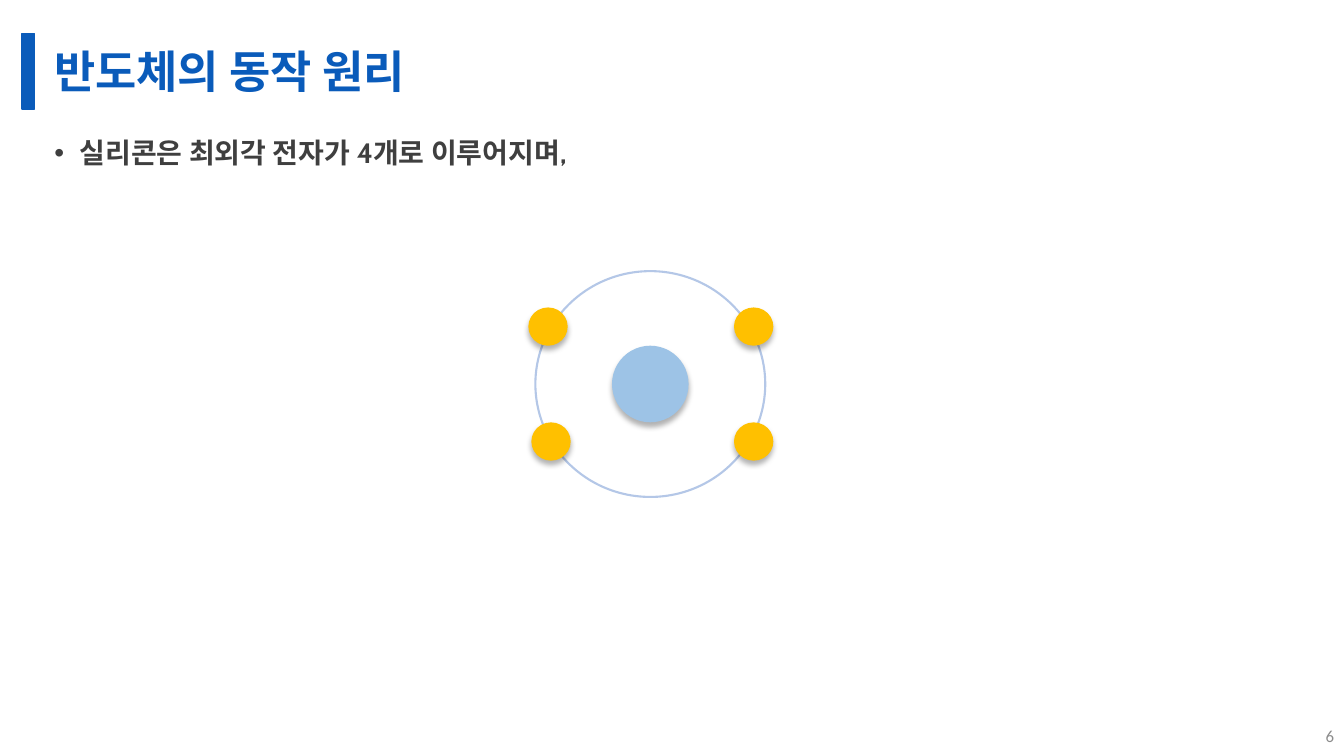
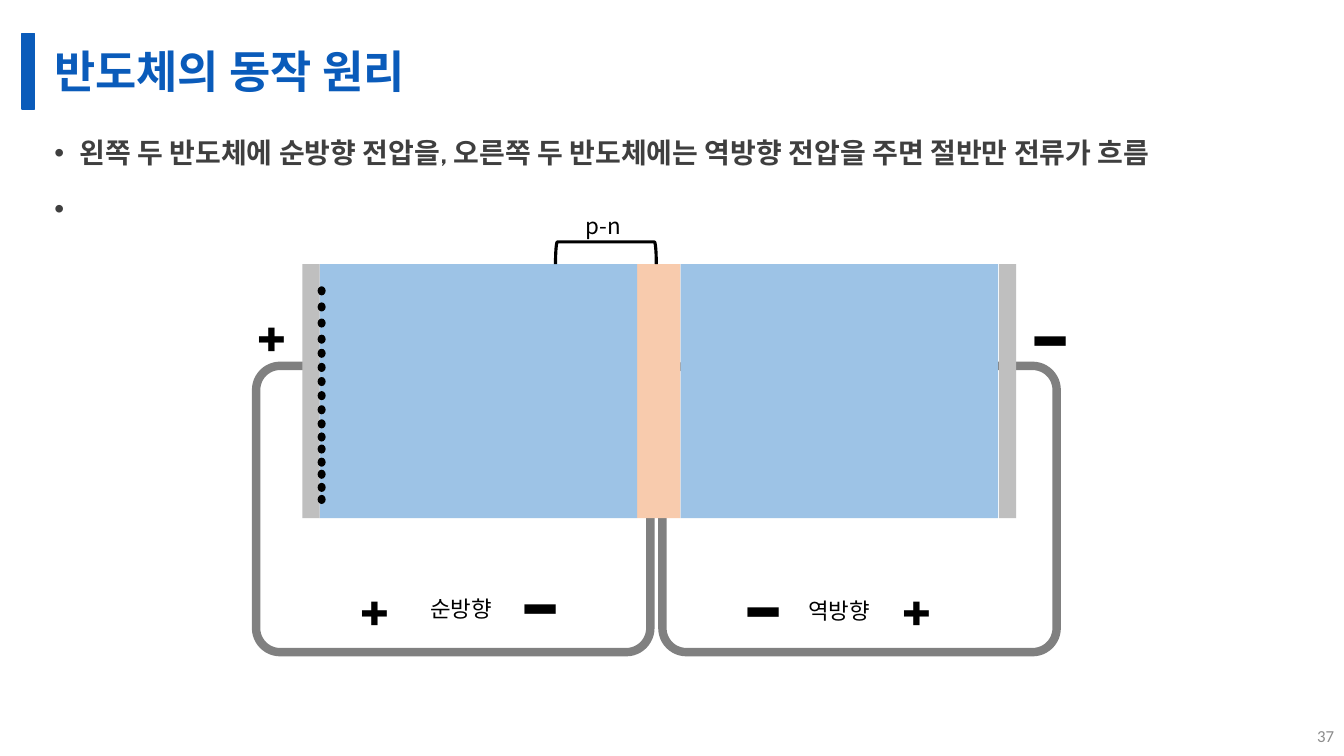
import dataclasses

import lxml.etree
import pptx
import pptx.dml.color
import pptx.enum.shapes
import pptx.enum.text
import pptx.oxml.ns
import pptx.util

Inches = pptx.util.Inches
Pt = pptx.util.Pt
SHAPE = pptx.enum.shapes.MSO_SHAPE
ALIGN = pptx.enum.text.PP_ALIGN
ANCHOR = pptx.enum.text.MSO_ANCHOR
qn = pptx.oxml.ns.qn


@dataclasses.dataclass(frozen=True)
class Theme:
    # Colours
    accent: str = "0A5BBA"
    body: str = "3F3F3F"
    muted: str = "8C8C8C"
    ink: str = "000000"
    silicon: str = "9DC3E6"
    orbit: str = "B4C7E7"
    electron: str = "FFC000"
    depletion: str = "F8CBAD"
    electrode: str = "BFBFBF"
    wire: str = "808080"
    # Fonts
    title_font: str = "Roboto"
    body_font: str = "Cabin"
    number_font: str = "Calibri"
    korean_font: str = "Noto Sans CJK KR"
    # Type sizes
    title_size: int = 32
    body_size: int = 20
    label_size: int = 16
    number_size: int = 12
    plus_size: int = 48
    minus_size: int = 72


@dataclasses.dataclass(frozen=True)
class Box:
    left: float
    top: float
    width: float
    height: float

    def inner(self, dx, dy, width, height):
        return Box(self.left + dx, self.top + dy, width, height)

    def lengths(self):
        return [Inches(round(v, 2)) for v in dataclasses.astuple(self)]


THEME = Theme()
TITLE = "반도체의 동작 원리"
BAR = Box(0.22, 0.33, 0.12, 0.75)
TITLE_BOX = Box(0.44, 0.33, 12.45, 0.75)
BODY_BOX = Box(0.44, 1.25, 12.45, 5.92)
NUMBER_BOX = Box(12.89, 7.1, 0.44, 0.4)


def rgb(value):
    return pptx.dml.color.RGBColor.from_string(value)


def add_bullet(paragraph):
    props = paragraph._p.get_or_add_pPr()
    props.set("marL", str(Inches(0.25)))
    props.set("indent", str(Inches(-0.25)))
    font = lxml.etree.SubElement(props, qn("a:buFont"))
    font.set("typeface", "Arial")
    lxml.etree.SubElement(props, qn("a:buChar")).set("char", "•")


def add_text(slide, box, *lines, size, font, color, bold=False, align=ALIGN.LEFT,
             anchor=ANCHOR.TOP, insets=(0.1, 0.05, 0.1, 0.05), wrap=True,
             spacing=None, before=None, after=None, bullet=False):
    frame = slide.shapes.add_textbox(*box.lengths()).text_frame
    frame.word_wrap = wrap
    frame.auto_size = (pptx.enum.text.MSO_AUTO_SIZE.NONE if wrap
                       else pptx.enum.text.MSO_AUTO_SIZE.SHAPE_TO_FIT_TEXT)
    frame.vertical_anchor = anchor
    (frame.margin_left, frame.margin_top,
     frame.margin_right, frame.margin_bottom) = map(Inches, insets)
    for index, line in enumerate(lines):
        paragraph = frame.add_paragraph() if index else frame.paragraphs[0]
        paragraph.alignment = align
        paragraph.line_spacing = spacing
        paragraph.space_before = before
        paragraph.space_after = after
        if bullet:
            add_bullet(paragraph)
        run = paragraph.add_run()
        run.text = line
        run.font.name, run.font.size, run.font.bold = font, Pt(size), bold
        run.font.color.rgb = rgb(color)
        korean = lxml.etree.SubElement(run._r.get_or_add_rPr(), qn("a:ea"))
        korean.set("typeface", THEME.korean_font)


def add_shape(slide, kind, box, fill=None, line=None, line_width=1):
    shape = slide.shapes.add_shape(kind, *box.lengths())
    shape.shadow.inherit = False
    if fill:
        shape.fill.solid()
        shape.fill.fore_color.rgb = rgb(fill)
    else:
        shape.fill.background()
    if line:
        shape.line.color.rgb = rgb(line)
        shape.line.width = Pt(line_width)
    else:
        shape.line.fill.background()
    return shape


def add_drop_shadow(shape):
    effects = shape._element.spPr.find(qn("a:effectLst"))
    shadow = lxml.etree.SubElement(effects, qn("a:outerShdw"))
    for key, value in (("blurRad", Pt(4)), ("dist", Pt(3)),
                       ("dir", 90 * 60000), ("rotWithShape", 0)):
        shadow.set(key, str(int(value)))
    color = lxml.etree.SubElement(shadow, qn("a:srgbClr"))
    color.set("val", THEME.ink)
    lxml.etree.SubElement(color, qn("a:alpha")).set("val", "30000")


def add_page(deck, number, *bullets):
    """Blank slide with the shared title, bullets and page number."""
    slide = deck.slides.add_slide(deck.slide_layouts[6])
    add_shape(slide, SHAPE.RECTANGLE, BAR, fill=THEME.accent, line=THEME.accent)
    add_text(slide, TITLE_BOX, TITLE, size=THEME.title_size,
             font=THEME.title_font, color=THEME.accent, bold=True,
             anchor=ANCHOR.MIDDLE, insets=(0.1, 0.05, 0.1, 0), spacing=0.9)
    add_text(slide, BODY_BOX, *bullets, size=THEME.body_size,
             font=THEME.body_font, color=THEME.body, bold=True,
             spacing=1.14, before=Pt(10), after=Pt(3), bullet=True)
    add_text(slide, NUMBER_BOX, str(number), size=THEME.number_size,
             font=THEME.number_font, color=THEME.muted,
             align=ALIGN.RIGHT, anchor=ANCHOR.MIDDLE)
    return slide


def add_atom(slide, box):
    # Nucleus and orbit
    nucleus = add_shape(slide, SHAPE.OVAL, box.inner(0.76, 0.74, 0.76, 0.76),
                        fill=THEME.silicon)
    add_drop_shadow(nucleus)
    add_shape(slide, SHAPE.OVAL, box, line=THEME.orbit, line_width=1.5)
    # Four outer electrons
    for dx, dy in ((-0.04, 1.5), (1.97, 1.5), (1.97, 0.36), (-0.07, 0.36)):
        electron = add_shape(slide, SHAPE.OVAL, box.inner(dx, dy, 0.39, 0.38),
                             fill=THEME.electron)
        add_drop_shadow(electron)


def add_label(slide, box, text):
    add_text(slide, box, text, size=THEME.label_size, font=THEME.korean_font,
             color=THEME.ink, wrap=False)


def add_sign(slide, box, sign):
    size = THEME.plus_size if sign == "+" else THEME.minus_size
    add_text(slide, box, sign, size=size, font=THEME.body_font,
             color=THEME.ink, bold=True, wrap=False)


def add_circuits(slide, box):
    # Wire loops, right then left
    for dx in (4.03, 0):
        loop = add_shape(slide, SHAPE.ROUNDED_RECTANGLE,
                         box.inner(dx, 0, 3.91, 2.84),
                         line=THEME.wire, line_width=6)
        loop.adjustments[0] = 0.084
    # Bias direction, with the polarity on each side
    for dx, dy, direction in ((1.63, 2.23, "순방향"), (5.38, 2.25, "역방향")):
        add_label(slide, box.inner(dx, dy, 0.85, 0.37), direction)
    for dx in (0.93, 6.3):
        add_sign(slide, box.inner(dx, 1.93, 0.68, 0.91), "+")
    for dx, dy in ((2.51, 1.65), (4.73, 1.68)):
        add_sign(slide, box.inner(dx, dy, 0.61, 1.31), "-")


def add_junction(slide, box):
    # Layers: depletion, semiconductors, electrodes
    for dx, width, color in ((3.32, 0.43, THEME.depletion),
                             (0.17, 3.15, THEME.silicon),
                             (3.75, 3.15, THEME.silicon),
                             (0, 0.17, THEME.electrode),
                             (6.91, 0.17, THEME.electrode)):
        add_shape(slide, SHAPE.RECTANGLE, box.inner(dx, 0, width, box.height),
                  fill=color)
    # Terminal signs
    add_sign(slide, box.inner(-0.55, 0.22, 0.68, 0.91), "+")
    add_sign(slide, box.inner(7.11, 0, 0.61, 1.31), "-")
    # p-n bracket
    bracket = add_shape(slide, SHAPE.RIGHT_BRACKET,
                        box.inner(2.9, -0.61, 0.22, 1),
                        line=THEME.ink, line_width=2.25)
    bracket.rotation = 270
    add_label(slide, box.inner(2.71, -0.56, 0.56, 0.37), "p-n")
    # Carriers along the left electrode, closing up downwards
    dy = 0.22
    for gap in [0] + [0.16] * 3 + [0.14] * 6 + [0.13, 0.12] * 3:
        dy += gap
        add_shape(slide, SHAPE.OVAL, box.inner(0.15, dy, 0.08, 0.09),
                  fill=THEME.ink)


def build_atom_slide(deck):
    slide = add_page(deck, 6, "실리콘은 최외각 전자가 4개로 이루어지며,")
    add_atom(slide, Box(5.31, 2.69, 2.28, 2.24))


def build_junction_slide(deck):
    slide = add_page(
        deck, 37,
        "왼쪽 두 반도체에 순방향 전압을, 오른쪽 두 반도체에는 역방향 전압을 "
        "주면 절반만 전류가 흐름", " ")
    add_circuits(slide, Box(2.54, 3.63, 7.94, 2.84))
    add_junction(slide, Box(3, 2.62, 7.08, 2.52))


def main():
    deck = pptx.Presentation()
    deck.slide_width, deck.slide_height = Inches(13.33), Inches(7.5)
    build_atom_slide(deck)
    build_junction_slide(deck)
    deck.save("out.pptx")


if __name__ == "__main__":
    main()
